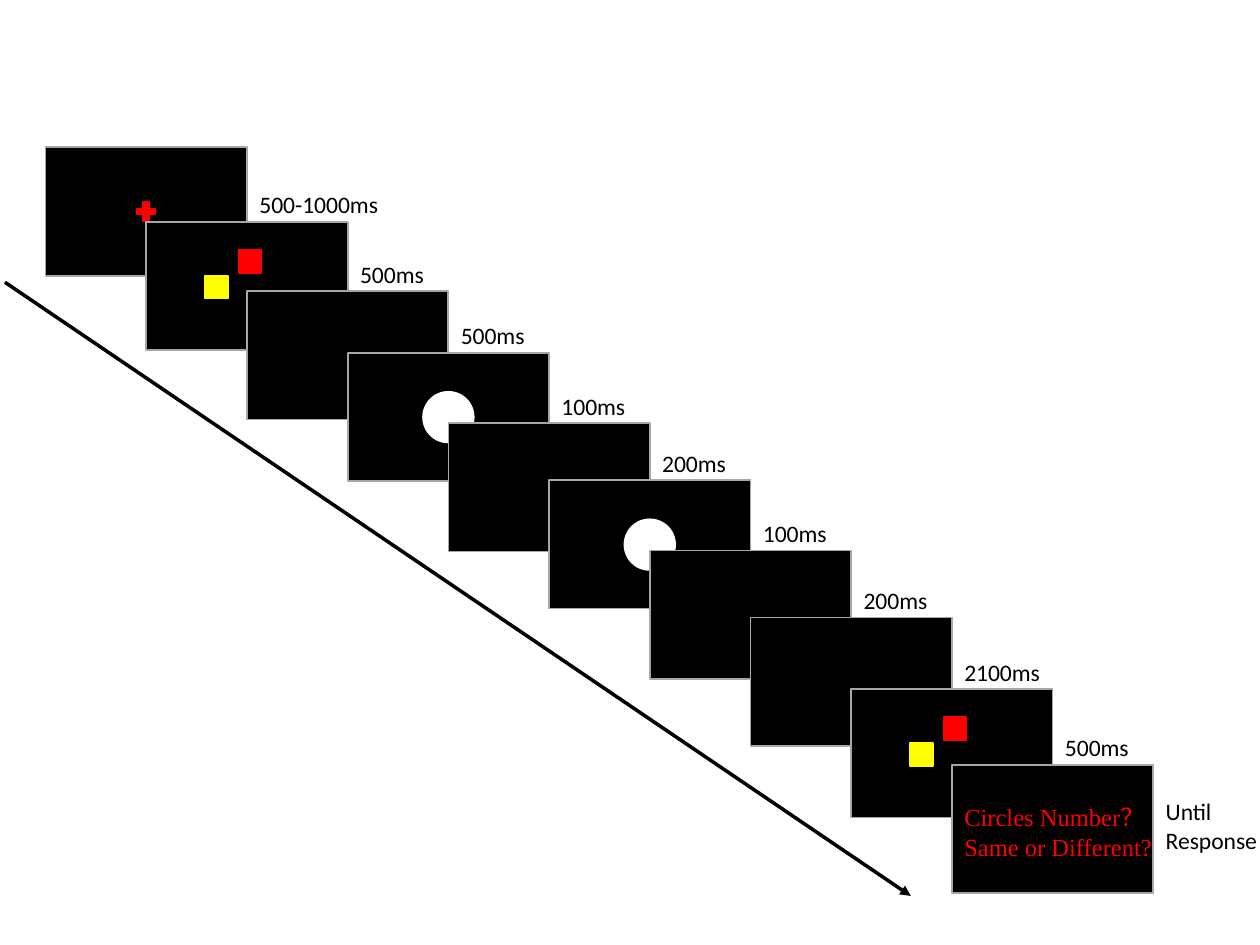
from lxml.etree import SubElement
from pptx import Presentation
from pptx.dml.color import RGBColor
from pptx.enum.shapes import MSO_CONNECTOR, MSO_SHAPE
from pptx.oxml.ns import qn
from pptx.util import Cm, Pt

SCREEN_W, SCREEN_H = 4.06, 2.59
LEFT, STEP = 0.92, 2.03

CROSS = [(MSO_SHAPE.MATH_PLUS, 1.77, 1.04, 0.51, "FF0000")]
SQUARES = [
    (MSO_SHAPE.RECTANGLE, 1.86, 0.57, 0.46, "FF0000"),
    (MSO_SHAPE.RECTANGLE, 1.19, 1.09, 0.46, "FFFF00"),
]
CIRCLE = [(MSO_SHAPE.OVAL, 1.52, 0.79, 1.02, "FFFFFF")]

SCREENS = [
    (2.97, "500-1000ms", CROSS),
    (4.47, "500ms", SQUARES),
    (5.87, "500ms", []),
    (7.11, "100ms", CIRCLE),
    (8.53, "200ms", []),
    (9.68, "100ms", CIRCLE),
    (11.1, "200ms", []),
    (12.45, "2100ms", []),
    (13.89, "500ms", SQUARES),
    (15.42, "Until Response", []),
]
QUESTION = ["Circles Number？", "Same or Different?"]
ARROW = (0.1, 5.69, 18.36, 18.06)


def rgb(value):
    return RGBColor.from_string(value)


def add_block(s, kind, x, y, w, h, fill, line):
    sp = s.shapes.add_shape(kind, Cm(x), Cm(y), Cm(w), Cm(h))
    sp.shadow.inherit = False
    sp.fill.solid()
    sp.fill.fore_color.rgb = rgb(fill)
    sp.line.color.rgb = rgb(line)
    sp.line.width = Pt(1)


def add_text(s, lines, x, y, w, h, size=13.5, font="Calibri", color="000000"):
    tf = s.shapes.add_textbox(Cm(x), Cm(y), Cm(w), Cm(h)).text_frame
    tf.word_wrap = True
    for i, line in enumerate(lines):
        p = tf.paragraphs[0] if i == 0 else tf.add_paragraph()
        r = p.add_run()
        r.text = line
        r.font.size = Pt(size)
        r.font.name = font
        r.font.color.rgb = rgb(color)


def add_arrow(s, x1, y1, x2, y2):
    c = s.shapes.add_connector(MSO_CONNECTOR.STRAIGHT, Cm(x1), Cm(y1), Cm(x2), Cm(y2))
    c.line.color.rgb = rgb("000000")
    c.line.width = Pt(2)
    SubElement(c.line._get_or_add_ln(), qn("a:tailEnd"), type="triangle")
    SubElement(c._element.spPr, qn("a:effectLst"))


def main():
    prs = Presentation()
    prs.slide_width, prs.slide_height = Cm(25.4), Cm(19.05)
    s = prs.slides.add_slide(prs.slide_layouts[6])
    add_arrow(s, *ARROW)
    last = len(SCREENS) - 1
    for i, (top, label, stimuli) in enumerate(SCREENS):
        left = LEFT + i * STEP
        add_block(s, MSO_SHAPE.RECTANGLE, left, top, SCREEN_W, SCREEN_H, "000000", "A6A6A6")
        for kind, dx, dy, size, color in stimuli:
            add_block(s, kind, left + dx, top + dy, size, size, color, color)
        if i < last:
            label_top, w, h = SCREENS[i + 1][0] - 0.76, 3.05, 0.84
        else:
            label_top, w, h = top + 0.53, 2.64, 1.42
        add_text(s, [label], left + SCREEN_W, label_top, w, h)
    add_text(s, QUESTION, left, top + 0.63, 4.72, 2.06,
             size=14, font="Times New Roman", color="FF0000")
    prs.save("out.pptx")


if __name__ == "__main__":
    main()
